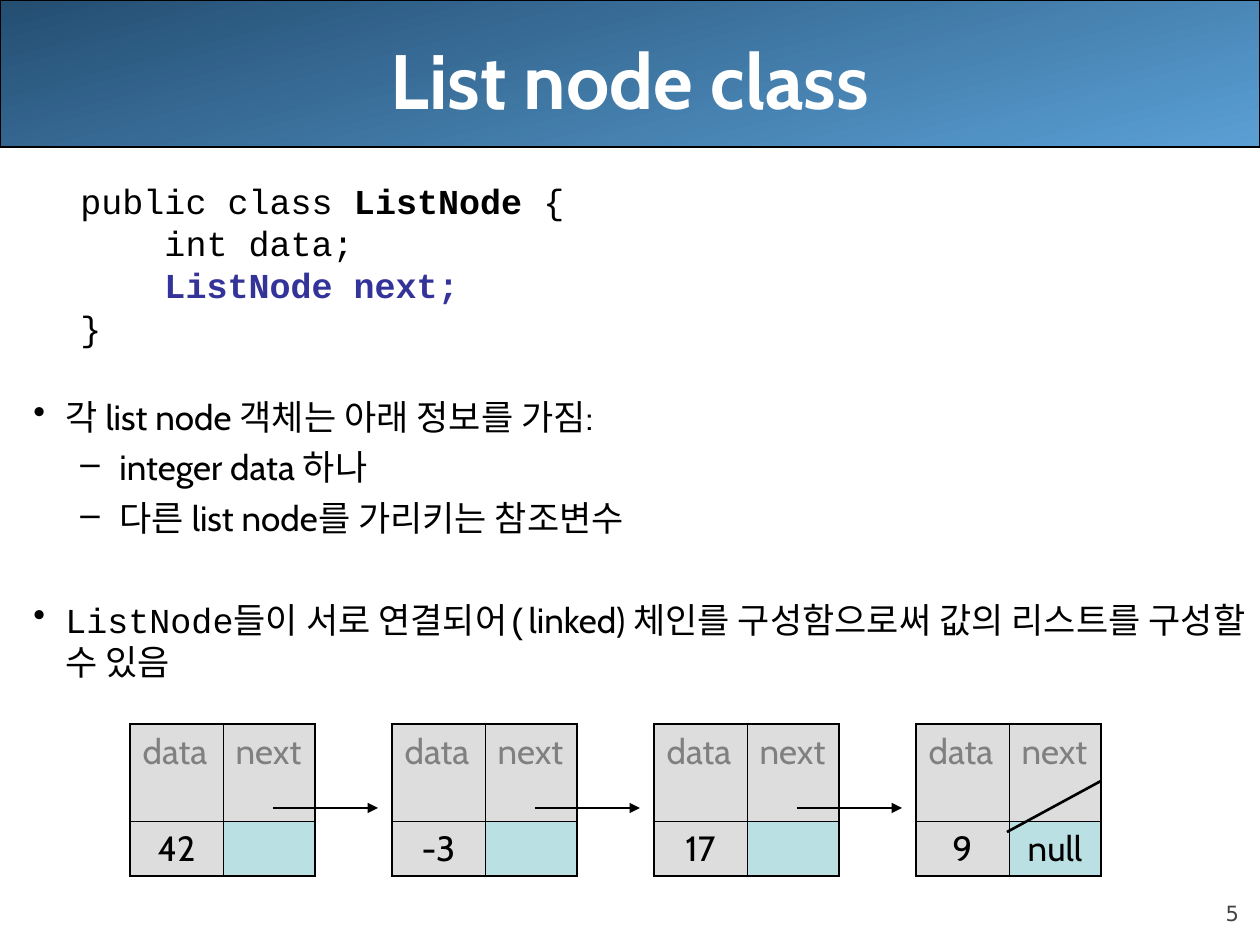
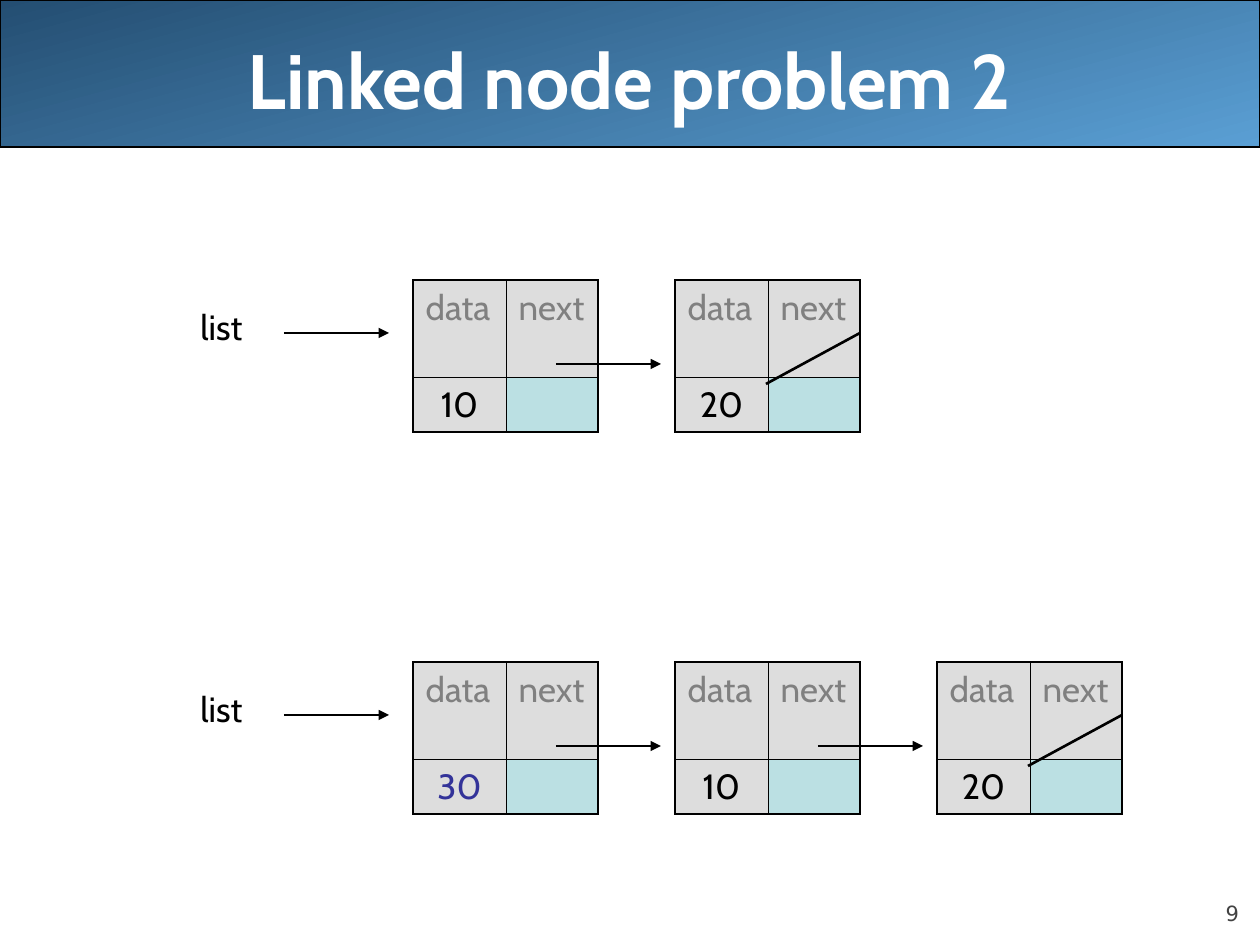
from lxml import etree
from pptx import Presentation
from pptx.dml.color import RGBColor
from pptx.enum.shapes import MSO_CONNECTOR, MSO_SHAPE
from pptx.enum.text import MSO_ANCHOR, PP_ALIGN
from pptx.oxml.ns import qn
from pptx.util import Pt

PX = 914400 / 126  # EMU in one px
SLIDE_W, SLIDE_H = 1260, 945

ROUNDED, STRAIGHT = MSO_SHAPE.ROUNDED_RECTANGLE, MSO_CONNECTOR.STRAIGHT
LEFT, CENTER, RIGHT = PP_ALIGN.LEFT, PP_ALIGN.CENTER, PP_ALIGN.RIGHT
TOP, MIDDLE, BOTTOM = MSO_ANCHOR.TOP, MSO_ANCHOR.MIDDLE, MSO_ANCHOR.BOTTOM

BLACK = RGBColor(0x00, 0x00, 0x00)
WHITE = RGBColor(0xFF, 0xFF, 0xFF)
BAND_DARK = RGBColor(0x24, 0x4E, 0x72)
BAND_LIGHT = RGBColor(0x5A, 0x9F, 0xD4)
NUMBER_GRAY = RGBColor(0x42, 0x42, 0x42)
FIELD_GRAY = RGBColor(0x80, 0x80, 0x80)
NODE_GRAY = RGBColor(0xDD, 0xDD, 0xDD)
NEXT_TEAL = RGBColor(0xBB, 0xE0, 0xE3)
ACCENT = RGBColor(0x33, 0x33, 0x99)

SANS, MONO, NUMBER_FONT = "Cabin", "Courier New", "DejaVu Sans"

# Content: body runs are (text, font, bold, colour)
CODE = [
    [("public class ", MONO, False, BLACK), ("ListNode", MONO, True, BLACK),
     (" {", MONO, False, BLACK)],
    [("    int data;", MONO, False, BLACK)],
    [("    ListNode next;", MONO, True, ACCENT)],
    [("}", MONO, False, BLACK)],
]
# Bullets: level, space before in points, runs
BULLETS = [
    (0, 27, [("각 list node 객체는 아래 정보를 가짐:", SANS, False, BLACK)]),
    (1, 5, [("integer data 하나", SANS, False, BLACK)]),
    (1, 5, [("다른 list node를 가리키는 참조변수", SANS, False, BLACK)]),
    (0, 34, [("ListNode들이 서로 연결되어(", MONO, False, BLACK),
             ("linked) 체인를 구성함으로써 값의 리스트를 구성할 수 있음", SANS, False, BLACK)]),
]
# Chains: left and top px, values, highlighted values, end text, px to slash top, list label
SLIDES = [
    {"title": "List node class", "number": "5", "has_body": True, "chains": [
        {"at": (130, 724), "values": ["42", "-3", "17", "9"], "new": [],
         "end": "null", "slash": 57, "label": ""}]},
    {"title": "Linked node problem 2", "number": "9", "has_body": False, "chains": [
        {"at": (413, 280), "values": ["10", "20"], "new": [],
         "end": "", "slash": 53, "label": "list"},
        {"at": (413, 662), "values": ["30", "10", "20"], "new": ["30"],
         "end": "", "slash": 53, "label": "list"}]},
]

# Geometry in px
BODY_BOX = (21, 181, 1239, 712)
LEVEL_INDENTS = [(32, -32, "•"), (86, -39, "–")]
CODE_INDENT = (86, -39)
COLUMNS, ROWS = (93, 92), (97, 55)
NODE_PITCH = 262
POINTER_X, POINTER_Y, POINTER_LENGTH = 143, 84, 105
SLASH_LEFT, SLASH_RIGHT, SLASH_DROP = 91, 185, 51
LABEL_OFFSET, LABEL_SIZE = (-225, 19), (73, 55)
LIST_ARROW_X, LIST_ARROW_Y = -129, 53
OUTER_BORDER, INNER_BORDER = 1.08, 0.45


def emu(*lengths):
    return [round(length * PX) for length in lengths]


def style(font, name, size, color, bold=False):
    font.name, font.size, font.bold = name, Pt(size), bold
    font.color.rgb = color


def add_text(slide, box, text, name, size, color, bold=False, align=LEFT,
             anchor=TOP, wrap=True, inset=True):
    frame = slide.shapes.add_textbox(*emu(*box)).text_frame
    frame.word_wrap, frame.vertical_anchor = wrap, anchor
    if not inset:
        frame.margin_left = frame.margin_right = frame.margin_top = frame.margin_bottom = 0
    paragraph = frame.paragraphs[0]
    paragraph.text, paragraph.alignment = text, align
    style(paragraph.font, name, size, color, bold)


def add_line(slide, x1, y1, x2, y2, arrow=True):
    line = slide.shapes.add_connector(STRAIGHT, *emu(x1, y1, x2, y2))
    line.line.color.rgb, line.line.width = BLACK, Pt(1.5)
    if arrow:
        etree.SubElement(line.line._get_or_add_ln(), qn("a:tailEnd"), type="triangle")
    etree.SubElement(line._element.spPr, qn("a:effectLst"))


def add_frame(slide, title, number):
    """Title band, title and slide number."""
    band = slide.shapes.add_shape(ROUNDED, *emu(0, 0, SLIDE_W, 147))
    band.adjustments[0] = 0
    band.shadow.inherit = False
    band.fill.gradient()
    band.fill.gradient_angle = 285
    for stop, color, position in zip(band.fill.gradient_stops, (BAND_DARK, BAND_LIGHT), (0, 1)):
        stop.color.rgb, stop.position = color, position
    band.line.color.rgb, band.line.width = BLACK, Pt(0.75)
    add_text(slide, (1134, 876, 105, 50), number, NUMBER_FONT, 12, NUMBER_GRAY,
             align=RIGHT, anchor=BOTTOM, inset=False)
    add_text(slide, (63, 0, 1134, 158), title, SANS, 44, WHITE, True, CENTER, MIDDLE)


def fill_paragraph(paragraph, runs, margin, indent, bullet=None):
    properties = paragraph._p.get_or_add_pPr()
    for key, length in (("marL", margin), ("indent", indent)):
        properties.set(key, str(emu(length)[0]))
    if bullet:
        bullet_color = etree.SubElement(properties, qn("a:buClr"))
        etree.SubElement(bullet_color, qn("a:srgbClr"), val=str(BLACK))
        etree.SubElement(properties, qn("a:buChar"), char=bullet)
    for text, name, bold, color in runs:
        run = paragraph.add_run()
        run.text = text
        style(run.font, name, 20, color, bold)


def add_body(slide):
    frame = slide.shapes.add_textbox(*emu(*BODY_BOX)).text_frame
    frame.word_wrap = True
    for i, runs in enumerate(CODE):
        paragraph = frame.add_paragraph() if i else frame.paragraphs[0]
        fill_paragraph(paragraph, runs, *CODE_INDENT)
        paragraph.line_spacing = 0.8
        paragraph.space_before = Pt(5 if i else 0)
    for level, space, runs in BULLETS:
        paragraph = frame.add_paragraph()
        fill_paragraph(paragraph, runs, *LEVEL_INDENTS[level])
        paragraph.space_before = Pt(space)


def add_borders(cell, row, column):
    outer_sides = {"lnL": column == 0, "lnR": column == 1, "lnT": row == 0, "lnB": row == 1}
    for side, outer in outer_sides.items():
        width = Pt(OUTER_BORDER if outer else INNER_BORDER)
        border = etree.SubElement(cell._tc.get_or_add_tcPr(), qn("a:" + side), w=str(width))
        solid = etree.SubElement(border, qn("a:solidFill"))
        etree.SubElement(solid, qn("a:srgbClr"), val=str(BLACK))


def add_node(slide, x, y, value, value_color, next_text):
    table = slide.shapes.add_table(2, 2, *emu(x, y, sum(COLUMNS), sum(ROWS))).table
    table.first_row = table.horz_banding = False
    for column, width in zip(table.columns, emu(*COLUMNS)):
        column.width = width
    for row, height in zip(table.rows, emu(*ROWS)):
        row.height = height
    fields = [[("data", FIELD_GRAY, NODE_GRAY), ("next", FIELD_GRAY, NODE_GRAY)],
              [(value, value_color, NODE_GRAY), (next_text, BLACK, NEXT_TEAL)]]
    for r, row_fields in enumerate(fields):
        for c, (text, color, fill) in enumerate(row_fields):
            cell = table.cell(r, c)
            add_borders(cell, r, c)
            cell.fill.solid()
            cell.fill.fore_color.rgb = fill
            paragraph = cell.text_frame.paragraphs[0]
            paragraph.text, paragraph.alignment = text, CENTER if r else LEFT
            style(paragraph.font, SANS, 20, color)


def add_chain(slide, chain):
    left, top = chain["at"]
    last = len(chain["values"]) - 1
    for i, value in enumerate(chain["values"]):
        x = left + i * NODE_PITCH
        color = ACCENT if value in chain["new"] else BLACK
        add_node(slide, x, top, value, color, chain["end"] if i == last else "")
        if i < last:
            start, y = x + POINTER_X, top + POINTER_Y
            add_line(slide, start, y, start + POINTER_LENGTH, y)
        else:
            y = top + chain["slash"]
            add_line(slide, x + SLASH_RIGHT, y, x + SLASH_LEFT, y + SLASH_DROP, arrow=False)
    if chain["label"]:
        dx, dy = LABEL_OFFSET
        add_text(slide, (left + dx, top + dy, *LABEL_SIZE), chain["label"], SANS, 20, BLACK,
                 wrap=False)
        start, y = left + LIST_ARROW_X, top + LIST_ARROW_Y
        add_line(slide, start, y, start + POINTER_LENGTH, y)


def main():
    deck = Presentation()
    deck.slide_width, deck.slide_height = emu(SLIDE_W, SLIDE_H)
    for content in SLIDES:
        slide = deck.slides.add_slide(deck.slide_layouts[6])
        add_frame(slide, content["title"], content["number"])
        if content["has_body"]:
            add_body(slide)
        for chain in content["chains"]:
            add_chain(slide, chain)
    deck.save("out.pptx")


if __name__ == "__main__":
    main()
